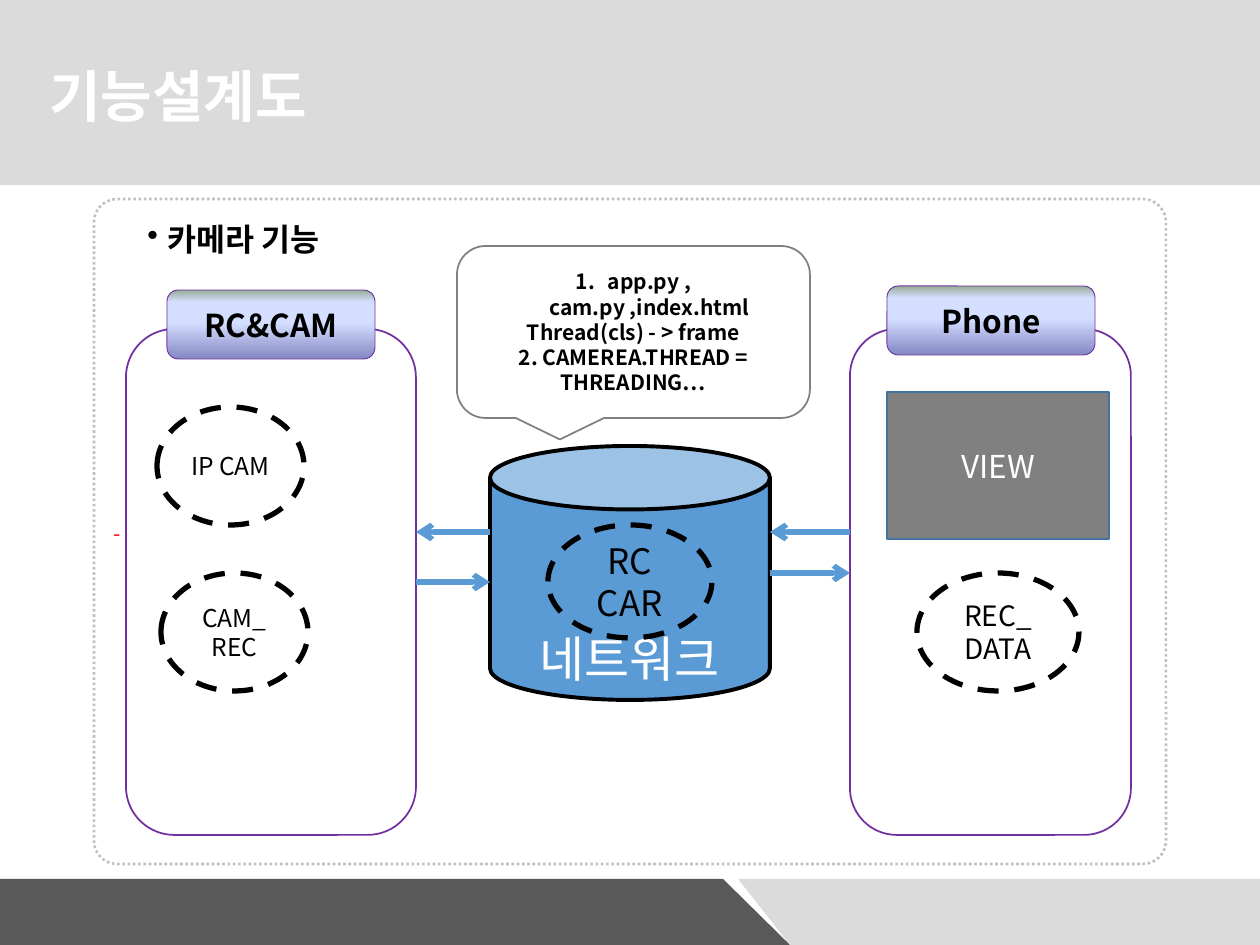
from lxml import etree
from pptx import Presentation
from pptx.dml.color import RGBColor
from pptx.enum.dml import MSO_LINE
from pptx.enum.shapes import MSO_CONNECTOR, MSO_SHAPE as Kind
from pptx.enum.text import MSO_ANCHOR as Anchor, PP_ALIGN as Align
from pptx.oxml import parse_xml
from pptx.oxml.ns import nsdecls, qn
from pptx.util import Inches, Pt

PX = 7257  # EMU per px, 126 px to the inch
FONT = "Noto Sans CJK KR"
BLACK = RGBColor(0x00, 0x00, 0x00)
WHITE = RGBColor(0xFF, 0xFF, 0xFF)
RED = RGBColor(0xFF, 0x00, 0x00)
PALE = RGBColor(0xDB, 0xDB, 0xDB)
DARK = RGBColor(0x59, 0x59, 0x59)
SILVER = RGBColor(0xC0, 0xC0, 0xC0)
GRAY = RGBColor(0x80, 0x80, 0x80)
PURPLE = RGBColor(0x70, 0x30, 0xA0)
BLUE = RGBColor(0x5B, 0x9B, 0xD5)
STEEL = RGBColor(0x43, 0x73, 0x9E)
LABEL_STOPS = [(0, "8488C4"), (53, "D4DEFF"), (83, "D4DEFF"), (100, "96AB94")]

presentation = Presentation()
presentation.slide_width = Inches(10)
presentation.slide_height = Inches(7.5)
slide = presentation.slides.add_slide(presentation.slide_layouts[6])
shapes = slide.shapes


def add_box(kind, box, fill=None, line=None, width=1, dash=None):
    shape = shapes.add_shape(kind, *[value * PX for value in box])
    shape.shadow.inherit = False
    if fill is None:
        shape.fill.background()
    else:
        shape.fill.solid()
        shape.fill.fore_color.rgb = fill
    if line is None:
        shape.line.fill.background()
    else:
        shape.line.color.rgb = line
        shape.line.width = Pt(width)
        if dash is not None:
            shape.line.dash_style = dash
    return shape


def write(shape, lines, size, color=BLACK, bold=False, align=Align.CENTER,
          anchor=Anchor.MIDDLE, font=FONT):
    frame = shape.text_frame
    frame.word_wrap = True
    frame.vertical_anchor = anchor
    for index, line in enumerate(lines):
        paragraph = frame.add_paragraph() if index else frame.paragraphs[0]
        paragraph.alignment = align
        run = paragraph.add_run()
        run.text = line
        run.font.size = Pt(size)
        run.font.bold = bold
        run.font.color.rgb = color
        run.font.name = font
        east_asian = etree.SubElement(run.font._element, qn("a:ea"))
        east_asian.set("typeface", FONT)
    return frame


# Title band
add_box(Kind.RECTANGLE, (0, 0, 1260, 185), PALE)
title = shapes.add_textbox(37 * PX, 47 * PX, 1058 * PX, 97 * PX)
write(title, ["기능설계도"], 32, WHITE, True, Align.LEFT, font="Montserrat")

# Footer bands
for color, points in [
    (DARK, [(0, 879), (723, 879), (790, 945), (0, 945)]),
    (PALE, [(738, 879), (1260, 879), (1260, 945), (790, 945)]),
]:
    builder = shapes.build_freeform(*points[0], scale=PX)
    builder.add_line_segments(points[1:], close=True)
    band = builder.convert_to_shape()
    band.shadow.inherit = False
    band.fill.solid()
    band.fill.fore_color.rgb = color
    band.line.fill.background()

# Dotted frame and its heading
frame_box = add_box(Kind.ROUNDED_RECTANGLE, (94, 199, 1072, 665), None,
                    SILVER, 1.5, MSO_LINE.ROUND_DOT)
frame_box.adjustments[0] = 0.035
heading = shapes.add_textbox(135 * PX, 214 * PX, 230 * PX, 50 * PX)
heading_text = write(heading, ["카메라 기능"], 18, bold=True,
                     align=Align.LEFT, anchor=Anchor.TOP)

# Red dash beside the left panel
mark = shapes.add_textbox(101 * PX, 512 * PX, 36 * PX, 42 * PX)
write(mark, ["-"], 12, RED, align=Align.LEFT)

# Device panels with gradient labels
for panel, label, name in [
    ((126, 329, 290, 506), (167, 290, 208, 69), "RC&CAM"),
    ((850, 329, 281, 506), (887, 286, 208, 69), "Phone"),
]:
    add_box(Kind.ROUNDED_RECTANGLE, panel, WHITE, PURPLE)
    tab = add_box(Kind.ROUNDED_RECTANGLE, label, WHITE, PURPLE, 0.5)
    tab.fill.gradient()
    tab.fill.gradient_angle = 90
    stops = tab.element.spPr.find(".//" + qn("a:gsLst"))
    for stop in list(stops):
        stops.remove(stop)
    for position, value in LABEL_STOPS:
        stops.append(parse_xml(
            f'<a:gs {nsdecls("a")} pos="{position * 1000}">'
            f'<a:srgbClr val="{value}"/></a:gs>'))
    write(tab, [name], 18, bold=True)

# Network cylinder
network = add_box(Kind.CAN, (490, 446, 280, 254), BLUE, BLACK, 2.25)
network_text = write(network, ["네트워크"], 28, WHITE, anchor=Anchor.TOP)
network_text.margin_top = 119 * PX
network_text.margin_bottom = 0

# Phone screen
screen = add_box(Kind.RECTANGLE, (887, 392, 222, 147), GRAY, STEEL)
write(screen, ["VIEW"], 18, WHITE)

# Dashed components
for box, lines, size in [
    ((157, 407, 147, 118), ["IP CAM"], 14),
    ((161, 573, 147, 118), ["CAM_REC"], 14),
    ((548, 525, 164, 113), ["RC CAR"], 20),
    ((917, 573, 162, 118), ["REC_", "DATA"], 16),
]:
    component = add_box(Kind.OVAL, box, None, BLACK, 3, MSO_LINE.DASH)
    write(component, lines, size)

# Arrows between the panels and the network
for start, end, y in [(416, 490, 582), (770, 850, 573),
                      (850, 770, 532), (490, 416, 532)]:
    arrow = shapes.add_connector(MSO_CONNECTOR.STRAIGHT,
                                 start * PX, y * PX, end * PX, y * PX)
    arrow.line.color.rgb = BLUE
    arrow.line.width = Pt(3)
    properties = arrow.element.spPr
    etree.SubElement(properties.find(qn("a:ln")), qn("a:tailEnd")).set("type", "arrow")
    etree.SubElement(properties, qn("a:effectLst"))

# Callout above the network
callout = add_box(Kind.ROUNDED_RECTANGULAR_CALLOUT, (457, 246, 353, 172), None, GRAY)
callout_text = write(callout, [
    "app.py , cam.py ,index.html",
    "Thread(cls) - > frame",
    "2. CAMEREA.THREAD = THREADING…",
], 12, bold=True)

# Bullet and number with hanging indents
for text, indent, tag, key, value in [
    (heading_text, 20, "a:buChar", "char", "•"),
    (callout_text, 32, "a:buAutoNum", "type", "arabicPeriod"),
]:
    settings = text.paragraphs[0]._p.get_or_add_pPr()
    settings.set("marL", str(indent * PX))
    settings.set("indent", str(-indent * PX))
    etree.SubElement(settings, qn(tag)).set(key, value)

presentation.save("out.pptx")
